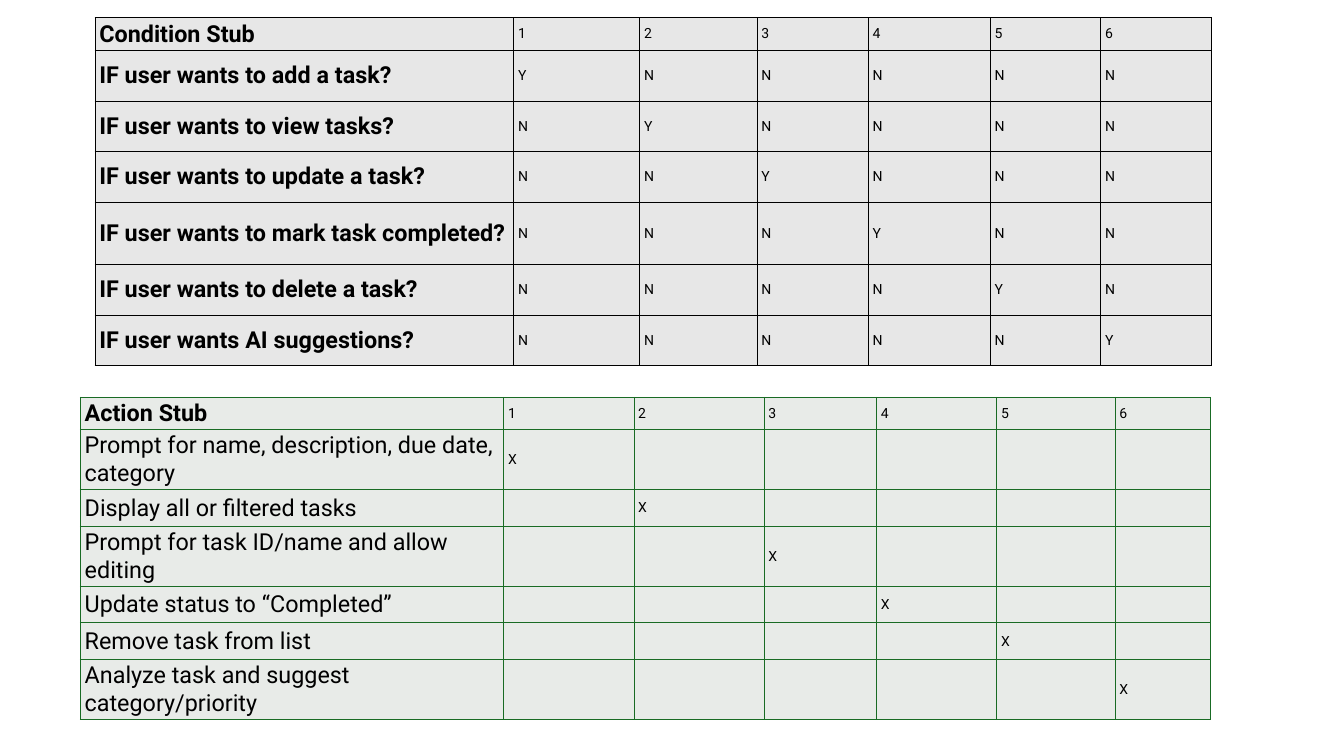
from dataclasses import dataclass

from lxml.etree import SubElement
from pptx import Presentation
from pptx.dml.color import RGBColor
from pptx.enum.text import MSO_ANCHOR
from pptx.oxml.ns import qn
from pptx.util import Pt


@dataclass(frozen=True)
class Theme:
    font: str = "Roboto"
    text: str = "000000"
    condition_fill: str = "E7E7E7"
    condition_border: str = "000000"
    action_fill: str = "E8EBE8"
    action_border: str = "196B24"
    label_size: float = 20
    mark_size: float = 12
    border_width: float = 1
    side_margin: float = 3.6
    edge_margin: float = 2.16


@dataclass(frozen=True)
class RuleTable:
    """A decision table whose rule n applies to row n."""
    heading: str
    labels: list[str]
    match: str
    other: str
    bold_labels: bool
    left: float
    top: float
    widths: list[float]
    heights: list[float]
    fill: str
    border: str

    def rows(self) -> list[list[str]]:
        rules = range(len(self.labels))
        header = [self.heading] + [str(n + 1) for n in rules]
        return [header] + [
            [label] + [self.match if n == i else self.other for n in rules]
            for i, label in enumerate(self.labels)
        ]


THEME = Theme()

CONDITIONS = RuleTable(
    heading="Condition Stub",
    labels=[
        "IF user wants to add a task?",
        "IF user wants to view tasks?",
        "IF user wants to update a task?",
        "IF user wants to mark task completed?",
        "IF user wants to delete a task?",
        "IF user wants AI suggestions?",
    ],
    match="Y", other="N", bold_labels=True,
    left=81.5, top=15.3,
    widths=[359, 108, 100.5, 95.5, 104.5, 94.75, 94.75],
    heights=[27.5, 43.4, 43.4, 43.4, 53.3, 43.4, 43.4],
    fill=THEME.condition_fill, border=THEME.condition_border,
)

ACTIONS = RuleTable(
    heading="Action Stub",
    labels=[
        "Prompt for name, description, due date, category",
        "Display all or filtered tasks",
        "Prompt for task ID/name and allow editing",
        "Update status to “Completed”",
        "Remove task from list",
        "Analyze task and suggest category/priority",
    ],
    match="X", other="", bold_labels=False,
    left=69, top=340.5,
    widths=[363, 111.5, 111.5, 96.5, 103, 101.5, 81.5],
    heights=[27.5, 51.3, 31.4, 51.3, 31.4, 31.4, 51.3],
    fill=THEME.action_fill, border=THEME.action_border,
)


def add_borders(cell, color: str) -> None:
    tc_pr = cell._tc.get_or_add_tcPr()
    for side in ("a:lnL", "a:lnR", "a:lnT", "a:lnB"):
        line = SubElement(tc_pr, qn(side), w=str(Pt(THEME.border_width)))
        fill = SubElement(line, qn("a:solidFill"))
        SubElement(fill, qn("a:srgbClr"), val=color)


def fill_cell(cell, text: str, size: float, bold: bool, table: RuleTable) -> None:
    add_borders(cell, table.border)
    cell.fill.solid()
    cell.fill.fore_color.rgb = RGBColor.from_string(table.fill)
    cell.vertical_anchor = MSO_ANCHOR.MIDDLE
    cell.margin_left = cell.margin_right = Pt(THEME.side_margin)
    cell.margin_top = cell.margin_bottom = Pt(THEME.edge_margin)
    if not text:
        return
    p = cell.text_frame.paragraphs[0]
    p.text = text
    font = p.runs[0].font
    font.name = THEME.font
    font.size = Pt(size)
    font.bold = bold
    font.color.rgb = RGBColor.from_string(THEME.text)


def add_rule_table(s, table: RuleTable) -> None:
    rows = table.rows()
    grid = s.shapes.add_table(
        len(rows), len(rows[0]), Pt(table.left), Pt(table.top),
        Pt(sum(table.widths)), Pt(sum(table.heights)),
    ).table
    grid.first_row = grid.horz_banding = False
    for column, width in zip(grid.columns, table.widths):
        column.width = Pt(width)
    for row, height in zip(grid.rows, table.heights):
        row.height = Pt(height)
    for i, texts in enumerate(rows):
        for j, text in enumerate(texts):
            is_label = j == 0
            size = THEME.label_size if is_label else THEME.mark_size
            bold = is_label and (i == 0 or table.bold_labels)
            fill_cell(grid.cell(i, j), text, size, bold, table)


def main() -> None:
    prs = Presentation()
    prs.slide_width, prs.slide_height = Pt(1152), Pt(648)
    s = prs.slides.add_slide(prs.slide_layouts.get_by_name("Blank"))
    for table in (CONDITIONS, ACTIONS):
        add_rule_table(s, table)
    prs.save("out.pptx")


if __name__ == "__main__":
    main()
